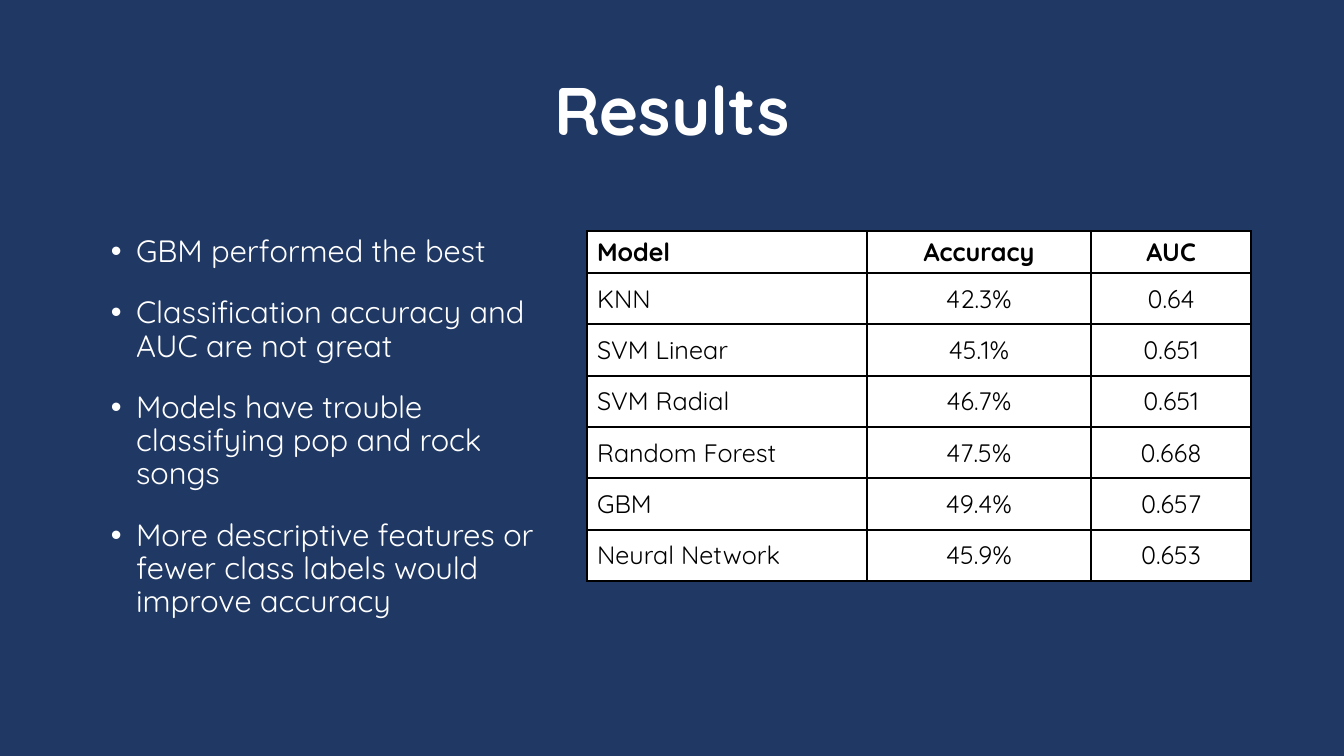
from lxml import etree
from pptx import Presentation
from pptx.dml.color import RGBColor
from pptx.enum.text import MSO_ANCHOR, MSO_AUTO_SIZE, PP_ALIGN
from pptx.oxml.ns import qn
from pptx.util import Pt

NAVY = RGBColor(0x20, 0x38, 0x64)
WHITE = RGBColor(0xFF, 0xFF, 0xFF)
BLACK = RGBColor(0x00, 0x00, 0x00)
LEFT, CENTER = PP_ALIGN.LEFT, PP_ALIGN.CENTER
TOP, MIDDLE = MSO_ANCHOR.TOP, MSO_ANCHOR.MIDDLE
NO_AUTOFIT = MSO_AUTO_SIZE.NONE


class ResultsSlide:
    font = "Quicksand"
    border_width = Pt(1.5)
    bullet_indent = Pt(18)

    def __init__(self, deck, background):
        self.slide = deck.slides.add_slide(deck.slide_layouts[1])
        fill = self.slide.background.fill
        fill.solid()
        fill.fore_color.rgb = background

    def apply(self, target, values):
        for attribute, value in values.items():
            setattr(target, attribute, value)

    def add_text(self, paragraph, text, color, font, layout):
        run = paragraph.add_run()
        run.text = text
        self.apply(run.font, {"name": self.font, **font})
        run.font.color.rgb = color
        self.apply(paragraph, layout)

    def place(self, placeholder, box, anchor):
        lengths = map(Pt, box)
        self.apply(placeholder, dict(zip(("left", "top", "width", "height"), lengths)))
        frame = placeholder.text_frame
        self.apply(frame, {"word_wrap": True, "auto_size": NO_AUTOFIT,
                           "vertical_anchor": anchor})
        return frame

    def title(self, text, box):
        frame = self.place(self.slide.shapes.title, box, MIDDLE)
        self.add_text(frame.paragraphs[0], text, WHITE, {"size": Pt(48), "bold": True},
                      {"alignment": CENTER, "line_spacing": 0.9})

    def bullets(self, findings, box):
        frame = self.place(self.slide.placeholders[1], box, TOP)
        layout = {"alignment": LEFT, "line_spacing": 0.9,
                  "space_before": Pt(10), "space_after": Pt(10)}
        for index, finding in enumerate(findings):
            paragraph = frame.add_paragraph() if index else frame.paragraphs[0]
            self.add_text(paragraph, finding, WHITE, {"size": Pt(22)}, layout)
            properties = paragraph._p.get_or_add_pPr()
            properties.set("marL", str(self.bullet_indent))
            properties.set("indent", str(-self.bullet_indent))
            etree.SubElement(properties, qn("a:buFont")).set("typeface", "Arial")
            etree.SubElement(properties, qn("a:buChar")).set("char", "•")

    def borders(self, cell):
        properties = cell._tc.get_or_add_tcPr()
        for index, side in enumerate(("lnL", "lnR", "lnT", "lnB")):
            line = etree.Element(qn(f"a:{side}"), w=str(self.border_width))
            solid = etree.SubElement(line, qn("a:solidFill"))
            etree.SubElement(solid, qn("a:srgbClr")).set("val", str(BLACK))
            properties.insert(index, line)

    def table(self, rows, corner, widths, heights):
        table = self.slide.shapes.add_table(
            len(rows), len(widths), *map(Pt, corner),
            Pt(sum(widths)), Pt(sum(heights))).table
        for column, width in zip(table.columns, widths):
            column.width = Pt(width)
        for row_index, (row, height) in enumerate(zip(rows, heights)):
            table.rows[row_index].height = Pt(height)
            for column_index, text in enumerate(row):
                cell = table.cell(row_index, column_index)
                cell.vertical_anchor = MIDDLE
                cell.fill.solid()
                cell.fill.fore_color.rgb = WHITE
                self.borders(cell)
                self.add_text(cell.text_frame.paragraphs[0], text, BLACK,
                              {"size": Pt(18), "bold": row_index == 0},
                              {"alignment": CENTER if column_index else LEFT})


FINDINGS = [
    "GBM performed the best",
    "Classification accuracy and AUC are not great",
    "Models have trouble classifying pop and rock songs",
    "More descriptive features or fewer class labels would improve accuracy",
]
MODEL_SCORES = [
    ("Model", "Accuracy", "AUC"),
    ("KNN", "42.3%", "0.64"),
    ("SVM Linear", "45.1%", "0.651"),
    ("SVM Radial", "46.7%", "0.651"),
    ("Random Forest", "47.5%", "0.668"),
    ("GBM", "49.4%", "0.657"),
    ("Neural Network", "45.9%", "0.653"),
]
HEADER_HEIGHT, MODEL_HEIGHT = 30, 36.7

deck = Presentation()
deck.slide_width, deck.slide_height = Pt(960), Pt(540)
results = ResultsSlide(deck, NAVY)
results.title("Results", (66, 28.75, 828, 104.4))
results.bullets(FINDINGS, (72, 165, 325.5, 291))
results.table(MODEL_SCORES, (419.3, 165), (200, 160, 114.5),
              [HEADER_HEIGHT] + [MODEL_HEIGHT] * (len(MODEL_SCORES) - 1))
deck.save("out.pptx")
